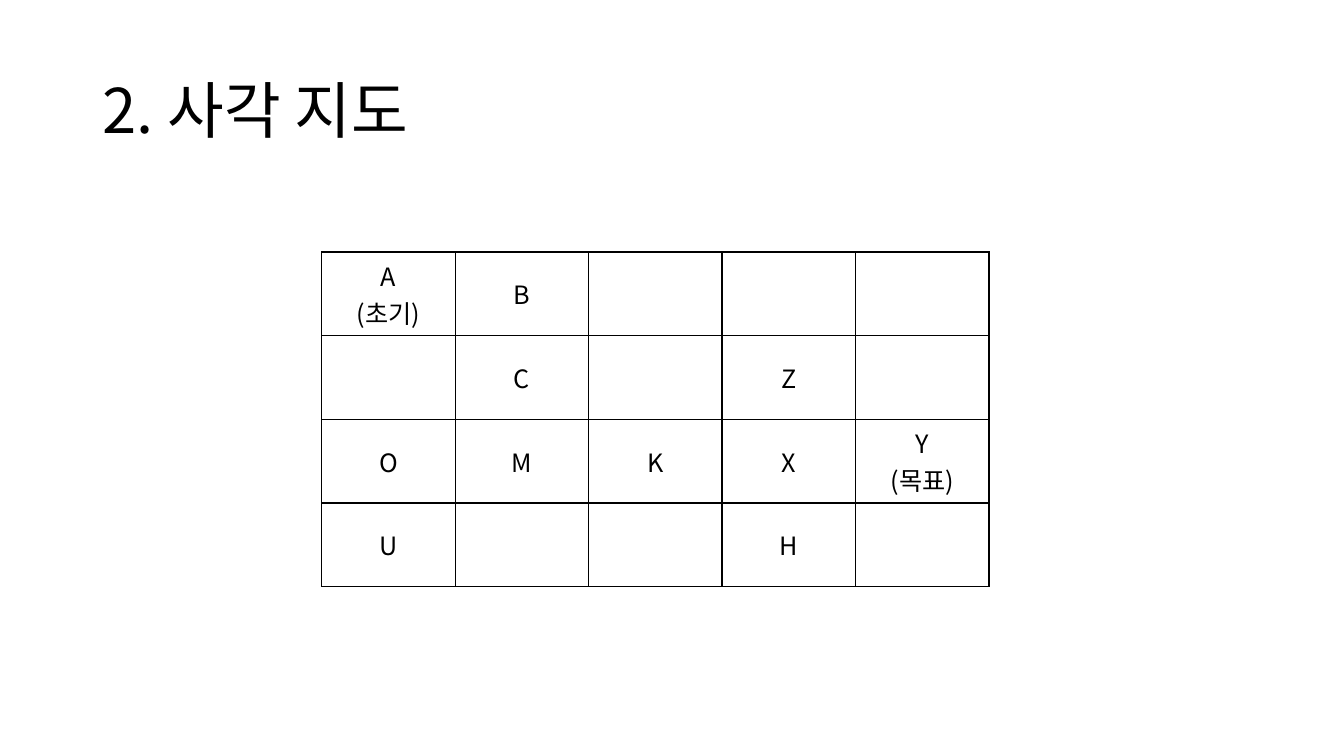
from dataclasses import dataclass

from lxml import etree
from pptx import Presentation
from pptx.dml.color import RGBColor
from pptx.enum.text import MSO_ANCHOR, PP_ALIGN
from pptx.oxml.ns import qn
from pptx.table import _Cell
from pptx.text.text import TextFrame
from pptx.util import Inches, Pt

MIDDLE = MSO_ANCHOR.MIDDLE
LEFT, CENTER = PP_ALIGN.LEFT, PP_ALIGN.CENTER


@dataclass(frozen=True)
class Theme:
    font: str = "Noto Sans CJK KR"
    ink: str = "000000"
    title_size: int = 44
    cell_size: int = 18
    border_width: int = 1


@dataclass(frozen=True)
class Place:
    label: str
    row: int
    column: int


THEME = Theme()
ROWS, COLUMNS = 4, 5
COLUMN_WIDTH, ROW_HEIGHT = Inches(6.62 / COLUMNS), Inches(0.83)
PLACES = [
    Place("A\n(초기)", 0, 0), Place("B", 0, 1),
    Place("C", 1, 1), Place("Z", 1, 3),
    Place("O", 2, 0), Place("M", 2, 1), Place("K", 2, 2),
    Place("X", 2, 3), Place("Y\n(목표)", 2, 4),
    Place("U", 3, 0), Place("H", 3, 3),
]


def write(frame: TextFrame, text: str, size: int, align: PP_ALIGN) -> None:
    """Set the text and give every run the theme's font, Hangul included."""
    frame.text = text
    for paragraph in frame.paragraphs:
        paragraph.alignment = align
        paragraph.font.size = Pt(size)
        for run in paragraph.runs:
            run.font.name = THEME.font
            run.font.size = Pt(size)
            run.font.color.rgb = RGBColor.from_string(THEME.ink)
            east_asian = etree.SubElement(run.font._element, qn("a:ea"))
            east_asian.set("typeface", THEME.font)


def draw_borders(cell: _Cell) -> None:
    properties = cell._tc.get_or_add_tcPr()
    for side in ("a:lnL", "a:lnR", "a:lnT", "a:lnB"):
        line = etree.SubElement(properties, qn(side), w=str(Pt(THEME.border_width)))
        fill = etree.SubElement(line, qn("a:solidFill"))
        etree.SubElement(fill, qn("a:srgbClr"), val=THEME.ink)


presentation = Presentation()
presentation.slide_width, presentation.slide_height = Inches(13.33), Inches(7.5)
slide = presentation.slides.add_slide(presentation.slide_layouts[6])

# Title
title = slide.shapes.add_textbox(Inches(0.92), Inches(0.4), Inches(11.5), Inches(1.45)).text_frame
title.word_wrap = True
title.vertical_anchor = MIDDLE
write(title, "2. 사각 지도", THEME.title_size, LEFT)
title.paragraphs[0].line_spacing = 0.9

# Square map
square_map = slide.shapes.add_table(
    ROWS, COLUMNS, Inches(3.19), Inches(2.5), COLUMN_WIDTH * COLUMNS, ROW_HEIGHT * ROWS
).table
square_map.first_row = square_map.horz_banding = False
for column in square_map.columns:
    column.width = COLUMN_WIDTH
for row in square_map.rows:
    row.height = ROW_HEIGHT
for square in square_map.iter_cells():
    draw_borders(square)
    square.fill.background()
    square.vertical_anchor = MIDDLE

# Named places on the map
for place in PLACES:
    write(square_map.cell(place.row, place.column).text_frame, place.label, THEME.cell_size, CENTER)

presentation.save("out.pptx")
